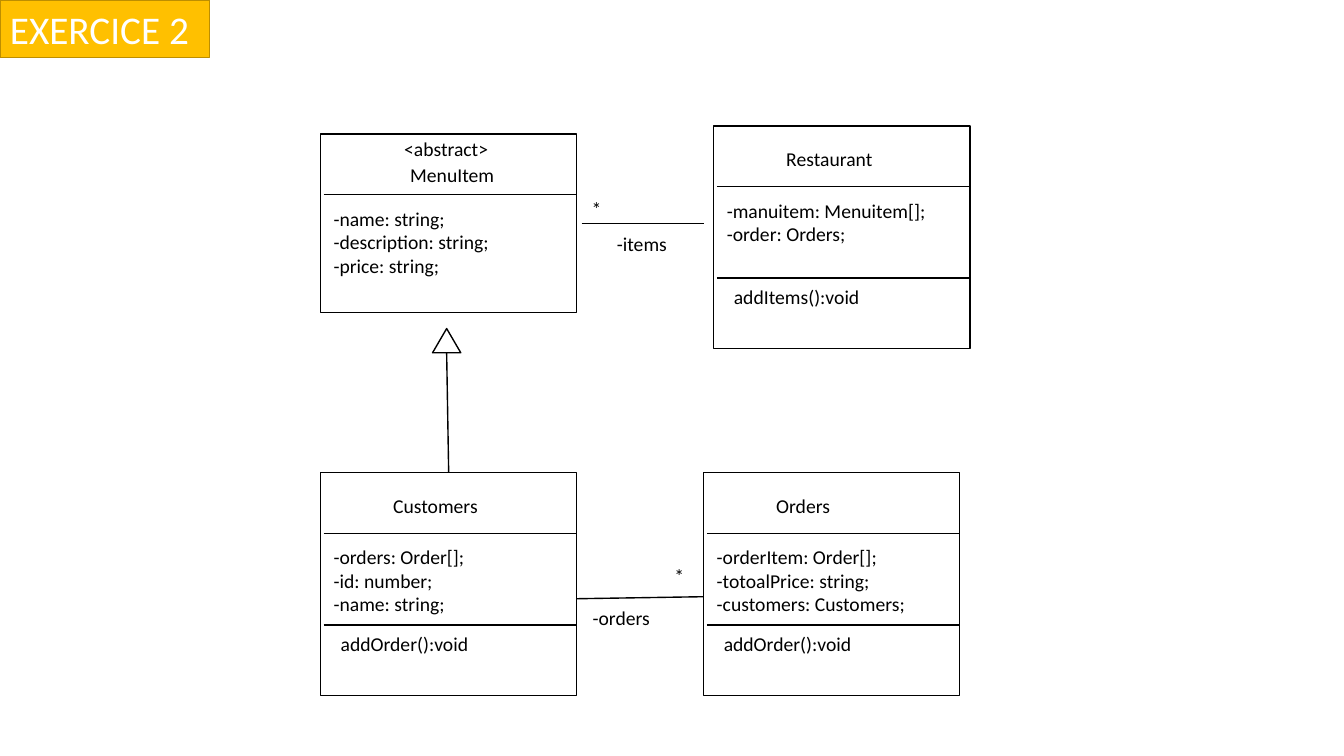
from dataclasses import dataclass
from pptx import Presentation
from pptx.dml.color import RGBColor
from pptx.enum.shapes import MSO_CONNECTOR, MSO_SHAPE
from pptx.enum.text import MSO_ANCHOR, MSO_AUTO_SIZE, PP_ALIGN
from pptx.oxml.ns import qn
from pptx.util import Pt
from lxml.etree import SubElement

SCALE = 9144


@dataclass(frozen=True)
class Theme:
    """Colours, font and type sizes of the slide."""
    ink: str = "000000"
    paper: str = "FFFFFF"
    gold: str = "FFC000"
    rim: str = "BD8E00"
    font: str = "Calibri"
    body: int = 14
    title: int = 28
    stroke: int = 1


class Diagram:
    """Draws class diagram elements on one slide."""

    def __init__(self, slide, theme):
        """Keep the slide and its theme."""
        self.shapes = slide.shapes
        self.theme = theme

    def px(self, *sizes):
        """Turn px lengths into EMU."""
        return [size * SCALE for size in sizes]

    def style(self, item, values):
        """Set each attribute from a dict."""
        for key, value in values.items():
            setattr(item, key, value)

    def stroke(self, item, color):
        """Give an item its outline."""
        item.line.color.rgb = RGBColor.from_string(color)
        item.line.width = Pt(self.theme.stroke)

    def label(self, item, lines, size, color, anchor=MSO_ANCHOR.TOP):
        """Fill an item with one paragraph per line."""
        frame = item.text_frame
        self.style(frame, {"word_wrap": False, "auto_size": MSO_AUTO_SIZE.NONE,
                           "vertical_anchor": anchor})
        frame.text = "\n".join(lines)
        for para in frame.paragraphs:
            para.alignment = PP_ALIGN.LEFT
            for run in para.runs:
                self.style(run.font, {"name": self.theme.font, "size": Pt(size)})
                run.font.color.rgb = RGBColor.from_string(color)

    def shape(self, kind, box, fill, rim):
        """Add a filled preset shape."""
        item = self.shapes.add_shape(kind, *self.px(*box))
        item.shadow.inherit = False
        item.fill.solid()
        item.fill.fore_color.rgb = RGBColor.from_string(fill)
        self.stroke(item, rim)
        return item

    def banner(self, box, text):
        """Add the heading label."""
        look = self.theme
        item = self.shape(MSO_SHAPE.RECTANGLE, box, look.gold, look.rim)
        self.label(item, [text], look.title, look.paper, MSO_ANCHOR.MIDDLE)

    def text(self, box, *lines):
        """Add a text box."""
        item = self.shapes.add_textbox(*self.px(*box))
        self.label(item, lines, self.theme.body, self.theme.ink)

    def line(self, *ends):
        """Add a straight line."""
        item = self.shapes.add_connector(MSO_CONNECTOR.STRAIGHT, *self.px(*ends))
        self.stroke(item, self.theme.ink)
        SubElement(item._element.spPr, qn("a:effectLst"))
        return item

    def entity(self, left, top, height, names, fields, action=None):
        """Add a class box with names, fields and an optional action."""
        look = self.theme
        frame = self.shape(MSO_SHAPE.RECTANGLE, (left, top, 254, height),
                           look.paper, look.ink)
        for shift, drop, width, name in names:
            self.text((left + shift, top + drop, width, 34), name)
        width, tall, lines = fields
        self.text((left + 3, top + 67, width, tall), *lines)
        rules = [60]
        if action:
            rules.append(151)
            self.text((left + 10, top + 153, 148, 34), action)
        for drop in rules:
            self.line(left + 3, top + drop, left + 254, top + drop)
        return frame


def main():
    """Build the slide and save it."""
    deck = Presentation()
    deck.slide_width, deck.slide_height = 1333 * SCALE, 750 * SCALE
    look = Theme()
    art = Diagram(deck.slides.add_slide(deck.slide_layouts[6]), look)

    art.banner((0, 0, 208, 57), "EXERCICE 2")
    art.entity(318, 133, 177,
               [(73, -2, 105, "<abstract>"), (79, 24, 104, "MenuItem")],
               (176, 104, ["-name: string;", "-description: string;",
                           "-price: string;"]))
    buyer = art.entity(318, 469, 221, [(62, 16, 105, "Customers")],
                       (155, 104, ["-orders: Order[];", "-id: number;",
                                   "-name: string;"]), "addOrder():void")
    art.entity(698, 469, 221, [(62, 16, 74, "Orders")],
               (208, 104, ["-orderItem: Order[];", "-totoalPrice: string;",
                           "-customers: Customers;"]), "addOrder():void")
    art.entity(708, 125, 221, [(62, 16, 107, "Restaurant")],
               (219, 57, ["-manuitem: Menuitem[];", "-order: Orders;"]),
               "addItems():void")

    art.shape(MSO_SHAPE.ISOSCELES_TRIANGLE, (429, 326, 28, 24),
              look.paper, look.ink)
    art.line(443, 350, 445, 469).end_connect(buyer, 0)
    art.line(577, 222, 698, 222)
    art.line(572, 594, 698, 592)
    for box, mark in [((577, 190, 30, 34), "*"), ((602, 225, 70, 34), "-items"),
                      ((659, 555, 30, 34), "*"), ((578, 596, 77, 34), "-orders")]:
        art.text(box, mark)

    deck.save("out.pptx")


if __name__ == "__main__":
    main()
